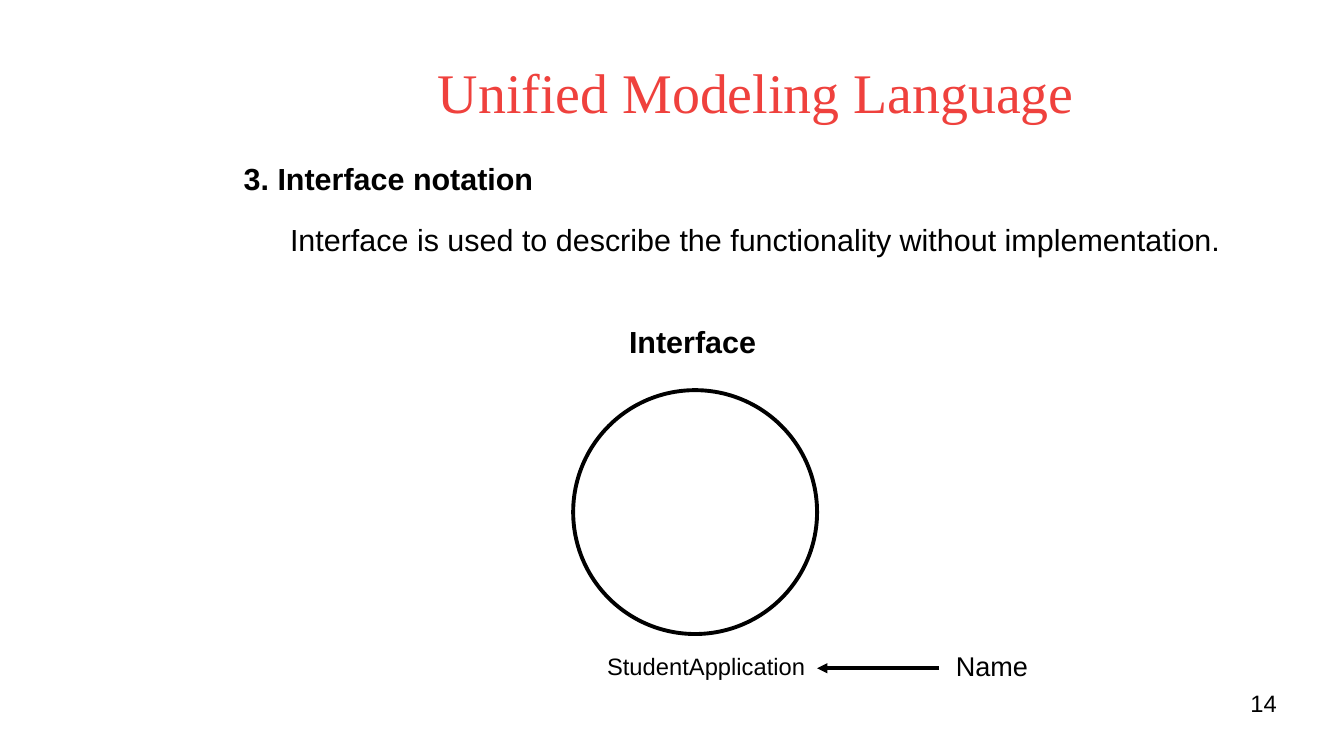
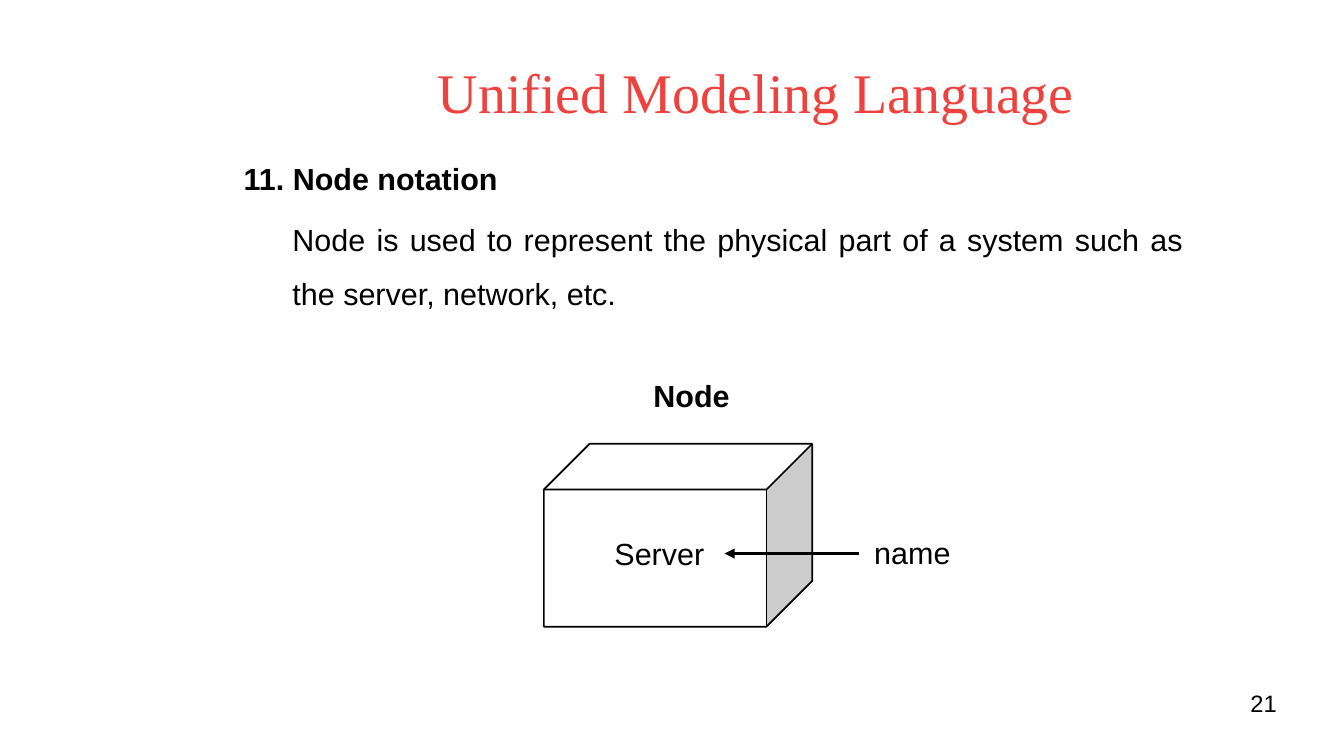
"""Builds two slides on UML notation: interface and node."""
from dataclasses import dataclass

from lxml import etree
from pptx import Presentation
from pptx.dml.color import RGBColor
from pptx.enum import shapes, text
from pptx.oxml import ns
from pptx.util import Inches, Pt


@dataclass(frozen=True)
class Theme:
    """Colours, fonts and type sizes."""
    accent: str = "EF413D"
    ink: str = "000000"
    paper: str = "FFFFFF"
    serif: str = "Times New Roman"
    sans: str = "Arial"
    title: int = 33
    body: int = 18
    label: int = 16
    small: int = 14


T = Theme()
W, H = 11.02, 6.2
PAD = (0.1, 0.05)
ALIGN = text.PP_ALIGN
TITLE = "Unified Modeling Language"

SLIDES = [
    {
        "number": 14,
        "heading": "3. Interface notation",
        "symbol": (shapes.MSO_SHAPE.OVAL, (4.7, 3.2, 2, 2), 2.3),
        "arrow": (7.7, 6.7, 5.48),
        "texts": [
            ("Interface is used to describe the functionality without implementation.",
             (2.28, 1.76, 8.1, 0.66), {}),
            ("Interface", (5.06, 2.6, 1.4, 0.38), {"bold": True}),
            ("StudentApplication", (4.88, 5.3, 2.1, 0.54), {"size": T.small}),
            ("Name", (7.74, 5.28, 1.1, 0.35), {"size": T.label}),
        ],
    },
    {
        "number": 21,
        "heading": "11. Node notation",
        "symbol": (shapes.MSO_SHAPE.CUBE, (4.46, 3.64, 2.2, 1.5), 1),
        "arrow": (7.04, 5.94, 4.54),
        "texts": [
            ("Node is used to represent the physical part of a system such as "
             "the server, network, etc.",
             (2.3, 1.61, 7.5, 1.22), {"align": ALIGN.JUSTIFY, "spacing": 1.5}),
            ("Node", (5.26, 3.04, 1.99, 0.66), {"bold": True}),
            ("Server", (4.94, 4.34, 1.1, 0.38), {}),
            ("name", (7.07, 4.33, 1.4, 0.38), {}),
        ],
    },
]


def add_text(slide, words, box, size=T.body, bold=False, font=T.sans, color=T.ink,
             align=ALIGN.LEFT, spacing=None, pad=PAD, anchor=text.MSO_ANCHOR.TOP):
    """Adds a one-paragraph text box."""
    tf = slide.shapes.add_textbox(*map(Inches, box)).text_frame
    tf.word_wrap = True
    tf.vertical_anchor = anchor
    tf.margin_left = tf.margin_right = Inches(pad[0])
    tf.margin_top = tf.margin_bottom = Inches(pad[1])
    p = tf.paragraphs[0]
    p.text = words
    p.alignment = align
    if spacing:
        p.line_spacing = spacing
    p.font.name, p.font.size, p.font.bold = font, Pt(size), bold
    p.font.color.rgb = RGBColor.from_string(color)


def add_symbol(slide, kind, box, weight):
    """Adds the outlined notation symbol."""
    sp = slide.shapes.add_shape(kind, *map(Inches, box))
    sp.shadow.inherit = False
    sp.fill.solid()
    sp.fill.fore_color.rgb = RGBColor.from_string(T.paper)
    sp.line.color.rgb = RGBColor.from_string(T.ink)
    sp.line.width = Pt(weight)


def add_arrow(slide, start, tip, y):
    """Adds a level hairline arrow from a label to its target."""
    line = slide.shapes.add_connector(
        shapes.MSO_CONNECTOR.STRAIGHT, *map(Inches, (start, y, tip, y)))
    line.line.color.rgb = RGBColor.from_string(T.ink)
    line.line.width = Pt(0)
    etree.SubElement(line.line._get_or_add_ln(), ns.qn("a:tailEnd"), type="triangle")
    etree.SubElement(line._element.spPr, ns.qn("a:effectLst"))


def add_slide(prs, content):
    """Adds one notation slide with the shared title and page number."""
    slide = prs.slides.add_slide(prs.slide_layouts[6])
    add_text(slide, TITLE, (1.77, 0.24, 8.86, 1.02), T.title, font=T.serif,
             color=T.accent, align=ALIGN.CENTER, pad=(0, 0),
             anchor=text.MSO_ANCHOR.MIDDLE)
    add_text(slide, content["heading"], (1.9, 1.26, 7.2, 0.66), bold=True)
    add_symbol(slide, *content["symbol"])
    for words, box, style in content["texts"]:
        add_text(slide, words, box, **style)
    add_arrow(slide, *content["arrow"])
    add_text(slide, str(content["number"]), (7.9, 5.65, 2.57, 0.43), T.small,
             align=ALIGN.RIGHT, pad=(0, 0))


def main():
    """Builds and saves the presentation."""
    prs = Presentation()
    prs.slide_width, prs.slide_height = Inches(W), Inches(H)
    for content in SLIDES:
        add_slide(prs, content)
    prs.save("out.pptx")


if __name__ == "__main__":
    main()
